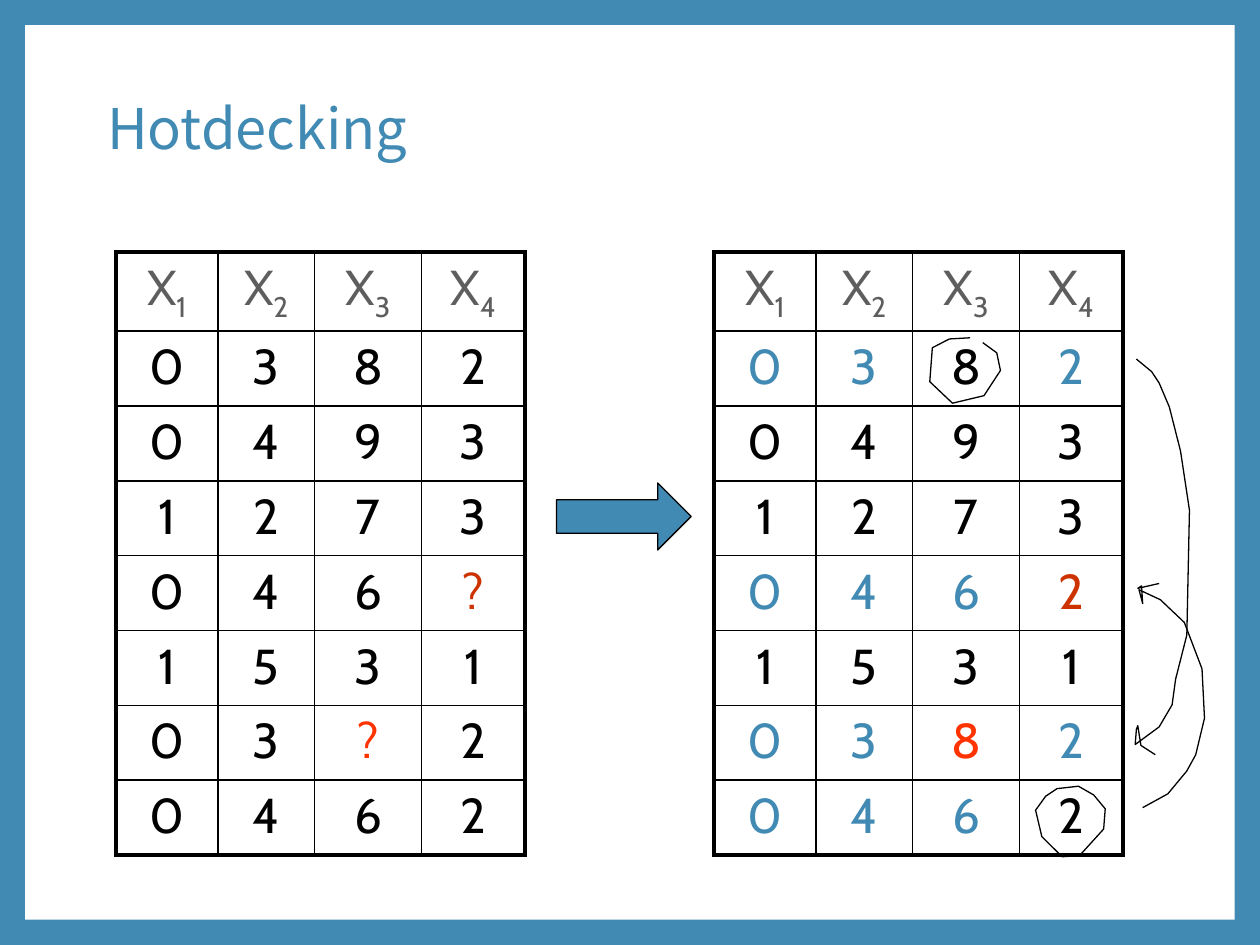
from dataclasses import dataclass

from lxml.etree import SubElement as Sub
from pptx import Presentation
from pptx.dml.color import RGBColor
from pptx.enum.shapes import MSO_SHAPE as Kind
from pptx.enum.text import MSO_ANCHOR as Anchor, PP_ALIGN as Align
from pptx.oxml.ns import qn
from pptx.util import Pt

BLUE = RGBColor(0x41, 0x8A, 0xB3)
WHITE = RGBColor(0xFF, 0xFF, 0xFF)
BLACK = RGBColor(0, 0, 0)
GREY = RGBColor(0x5E, 0x5E, 0x5E)
RUST = RGBColor(0xCC, 0x33, 0x00)
RED = RGBColor(0xFF, 0x33, 0x00)

SHADES = {"k": BLACK, "b": BLUE, "u": RUST, "r": RED}
WIDTHS = (58.25, 55.25, 61.25, 59)
ROW = 42.75
THIN, THICK = 1, 2.25

Point = tuple[float, float]


@dataclass
class Grid:
    """A data table: left edge, digits of each row, shade of each digit."""
    left: float
    rows: tuple[str, ...]
    shades: tuple[str, ...]


@dataclass
class Stroke:
    """A pen stroke through a few points."""
    dots: tuple[Point, ...]


GRIDS = (
    Grid(66.25, ("0382", "0493", "1273", "046?", "1531", "03?2", "0462"),
         ("kkkk", "kkkk", "kkkk", "kkku", "kkkk", "kkrk", "kkkk")),
    Grid(408, ("0382", "0493", "1273", "0462", "1531", "0382", "0462"),
         ("bbkb", "kkkk", "kkkk", "bbbu", "kkkk", "bbrb", "bbbk")),
)

STROKES = (
    Stroke(((653, 461.5), (667.4, 453.6), (678.2, 440.6), (683.3, 431.3),
            (688.3, 410.4), (686.9, 382.2), (676.8, 355.7), (663.1, 342.7),
            (650.9, 337), (653, 344.9), (652.3, 334.8), (650.2, 336.2),
            (662.4, 333.4))),
    Stroke(((649.4, 205.2), (658.1, 212.4), (662.4, 218.9), (668.2, 232.6),
            (674.6, 257.8), (679.7, 291.6), (678.2, 362.9), (671.8, 388.1),
            (669.8, 402.8), (662.4, 415.4), (648.7, 425.5), (649.4, 416.9),
            (650.2, 414.7), (652, 426), (660.2, 431.3))),
    Stroke(((554.4, 193), (542.5, 193.7), (532.8, 198.7), (531.3, 218.1),
            (544.3, 230.4), (562.3, 226.1), (571.7, 211.7), (569.6, 201.6),
            (561.6, 195.8))),
    Stroke(((625, 454.3), (616.3, 449.3), (604.1, 450.7), (597.6, 455),
            (591.8, 463), (595.4, 478.1), (607, 489.6), (617, 488.9),
            (630.7, 473.8), (631.6, 462.2), (625, 454.3))),
)


def draw_stroke(slide, stroke: Stroke) -> None:
    """Draw one pen stroke as an open outline."""
    dots = [(Pt(x), Pt(y)) for x, y in stroke.dots]
    pen = slide.shapes.build_freeform(*dots[0])
    pen.add_line_segments(dots[1:], close=False)
    shape = pen.convert_to_shape()
    shape.shadow.inherit = False
    shape.fill.background()
    shape.line.color.rgb = BLACK
    shape.line.width = Pt(0.75)


def edge(cell, sides: dict[str, float]) -> None:
    """Give a cell black borders of the given widths, in schema order."""
    props = cell._tc.get_or_add_tcPr()
    for i, (side, width) in enumerate(sides.items()):
        line = props.makeelement(qn(f"a:ln{side}"), {"w": str(Pt(width))})
        fill = Sub(line, qn("a:solidFill"))
        Sub(fill, qn("a:srgbClr"), val=str(BLACK))
        props.insert(i, line)


def write(cell, text: str, color: RGBColor, sub: str = "") -> None:
    """Write centred text, with an optional subscript."""
    para = cell.text_frame.paragraphs[0]
    para.alignment = Align.CENTER
    para.font.size = Pt(28)
    para.font.name = "Cabin"
    para.font.color.rgb = color
    para.add_run().text = text
    if sub:
        low = para.add_run()
        low.text = sub
        low.font._element.set("baseline", "-25000")


def draw_grid(slide, grid: Grid) -> None:
    """Draw one table with a header row of variables."""
    high, wide = len(grid.rows) + 1, len(WIDTHS)
    table = slide.shapes.add_table(high, wide, Pt(grid.left), Pt(144),
                                   Pt(sum(WIDTHS)), Pt(ROW * high)).table
    table.first_row = table.horz_banding = False
    for col, width in zip(table.columns, WIDTHS):
        col.width = Pt(width)
    for r in range(high):
        table.rows[r].height = Pt(ROW)
        for c in range(wide):
            cell = table.cell(r, c)
            cell.fill.background()
            rims = {"L": c == 0, "R": c == wide - 1,
                    "T": r == 0, "B": r == high - 1}
            edge(cell, {k: THICK if rim else THIN for k, rim in rims.items()})
            if r == 0:
                write(cell, "X", GREY, str(c + 1))
            else:
                write(cell, grid.rows[r - 1][c], SHADES[grid.shades[r - 1][c]])


def add_block(slide, kind: Kind, box: tuple[float, ...], color: RGBColor):
    """Add a plain filled shape without an outline."""
    shape = slide.shapes.add_shape(kind, *map(Pt, box))
    shape.shadow.inherit = False
    shape.fill.solid()
    shape.fill.fore_color.rgb = color
    shape.line.fill.background()
    return shape


def set_title(slide, text: str) -> None:
    """Place and format the title."""
    title = slide.shapes.title
    title.left, title.top, title.width, title.height = map(
        Pt, (54, 48.25, 612, 54))
    frame = title.text_frame
    frame.text = text
    frame.vertical_anchor = Anchor.MIDDLE
    para = frame.paragraphs[0]
    para.alignment = Align.LEFT
    para.line_spacing = 0.9
    para.font.size = Pt(32)
    para.font.name = "Noto Sans CJK SC"
    para.font.color.rgb = BLUE


def main() -> None:
    """Build the slide and save it."""
    deck = Presentation()
    deck.slide_width, deck.slide_height = Pt(720), Pt(540)
    slide = deck.slides.add_slide(deck.slide_layouts[5])
    slide.background.fill.solid()
    slide.background.fill.fore_color.rgb = BLUE
    page = add_block(slide, Kind.RECTANGLE, (14.4, 14.4, 691.2, 511.2), WHITE)
    slide.shapes._spTree.insert(2, page._element)
    set_title(slide, "Hotdecking")
    for grid in GRIDS:
        draw_grid(slide, grid)
    arrow = add_block(slide, Kind.RIGHT_ARROW, (318, 276, 77, 38.25), BLUE)
    arrow.line.color.rgb = BLACK
    arrow.line.width = Pt(0.75)
    for stroke in STROKES:
        draw_stroke(slide, stroke)
    deck.save("out.pptx")


main()
